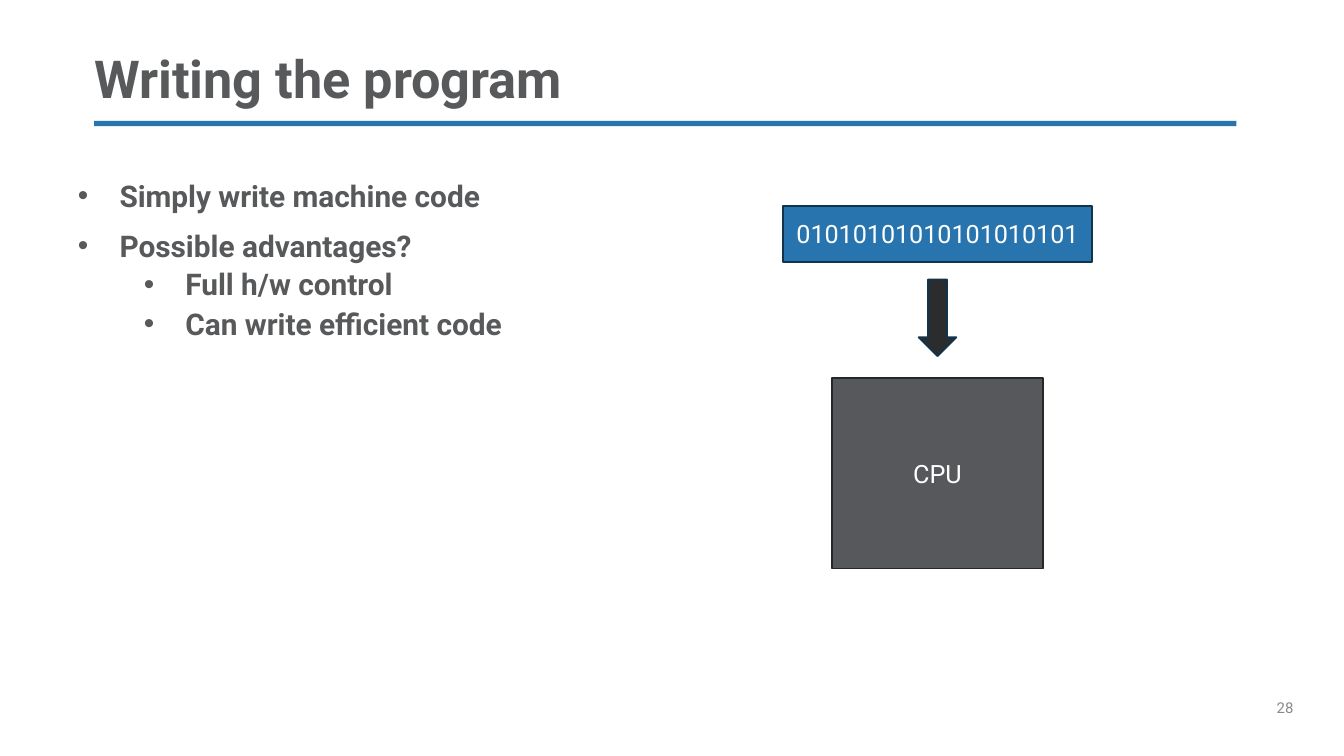
from pptx import Presentation
from pptx.dml.color import RGBColor
from pptx.enum.shapes import MSO_SHAPE
from pptx.enum.text import MSO_ANCHOR, MSO_AUTO_SIZE, PP_ALIGN
from pptx.oxml.ns import qn
from pptx.util import Inches, Pt
from lxml.etree import SubElement

CELL = Inches(0.1)
COLUMNS, ROWS = 100, 56.25
FONT = "Roboto"
BLUE, NAVY, GREY, WHITE = "2774AE", "11334C", "58595B", "FFFFFF"
FLOW_CENTER = 69.75
BULLETS = [
    ("Simply write machine code", 0),
    ("Possible advantages?", 0),
    ("Full h/w control", 1),
    ("Can write efficient code", 1),
]


def color(value):
    return RGBColor.from_string(value)


def grid(*cells):
    return [round(cell * CELL) for cell in cells]


def style_text(para, size, tint, bold=False):
    for span in para.runs:
        span.font.name = FONT
        span.font.size = Pt(size)
        span.font.bold = bold
        span.font.color.rgb = color(tint)


def prepare_frame(frame, anchor=MSO_ANCHOR.TOP):
    frame.word_wrap = True
    frame.vertical_anchor = anchor
    frame.margin_left = frame.margin_right = 0
    frame.margin_top = frame.margin_bottom = 0


def add_title(page, text, left, top, width, height):
    title = page.shapes.title
    title.left, title.top, title.width, title.height = grid(left, top, width, height)
    frame = title.text_frame
    frame.text = text
    prepare_frame(frame, MSO_ANCHOR.BOTTOM)
    frame.auto_size = MSO_AUTO_SIZE.SHAPE_TO_FIT_TEXT
    para = frame.paragraphs[0]
    para.alignment = PP_ALIGN.LEFT
    para.line_spacing = 0.9
    style_text(para, 28, GREY, bold=True)


def add_block(page, kind, center, top, width, height, fill, line=None, text=""):
    box = page.shapes.add_shape(kind, *grid(center - width / 2, top, width, height))
    box.shadow.inherit = False
    box.fill.solid()
    box.fill.fore_color.rgb = color(fill)
    if line:
        box.line.color.rgb = color(line)
        box.line.width = Pt(1)
    else:
        box.line.fill.background()
    if text:
        frame = box.text_frame
        frame.text = text
        frame.word_wrap = True
        frame.vertical_anchor = MSO_ANCHOR.MIDDLE
        frame.paragraphs[0].alignment = PP_ALIGN.CENTER
        style_text(frame.paragraphs[0], 13.5, WHITE)


def add_text_box(page, left, top, width, height):
    frame = page.shapes.add_textbox(*grid(left, top, width, height)).text_frame
    prepare_frame(frame)
    return frame


def set_bullet(para, level):
    para.level = level
    properties = para._p.get_or_add_pPr()
    properties.set("marL", str(Inches(0.8 if level else 0.31)))
    properties.set("indent", str(-Inches(0.31)))
    SubElement(properties, qn("a:buFont"), typeface="Arial")
    SubElement(properties, qn("a:buChar"), char="•")


def add_bullets(page, items, left, top, width, height):
    frame = add_text_box(page, left, top, width, height)
    for index, (text, level) in enumerate(items):
        para = frame.add_paragraph() if index else frame.paragraphs[0]
        para.text = text
        set_bullet(para, level)
        if index:
            para.space_before = Pt(3.8 if level else 7.5)
        if level:
            para.line_spacing = 0.9
        style_text(para, 16, GREY, bold=True)


def add_page_number(page, number, left, top, width, height):
    frame = add_text_box(page, left, top, width, height)
    frame.text = number
    style_text(frame.paragraphs[0], 8, "898989")


def main():
    deck = Presentation()
    deck.slide_width, deck.slide_height = grid(COLUMNS, ROWS)
    page = deck.slides.add_slide(deck.slide_layouts[5])
    add_title(page, "Writing the program", 7, 4, 85, 4.2)
    add_block(page, MSO_SHAPE.RECTANGLE, 49.5, 9, 85, 0.4, BLUE)
    add_bullets(page, BULLETS, 5.8, 13.2, 75, 19.8)
    add_page_number(page, "28", 95, 52, 5, 4)
    add_block(page, MSO_SHAPE.RECTANGLE, FLOW_CENTER, 15.3, 23, 4.2,
              BLUE, NAVY, "01010101010101010101")
    add_block(page, MSO_SHAPE.RECTANGLE, FLOW_CENTER, 28.1, 15.7, 14.2,
              "57585B", "262728", "CPU")
    add_block(page, MSO_SHAPE.DOWN_ARROW, FLOW_CENTER, 20.8, 2.8, 5.7,
              "2B2C2E", NAVY)
    deck.save("out.pptx")


if __name__ == "__main__":
    main()
